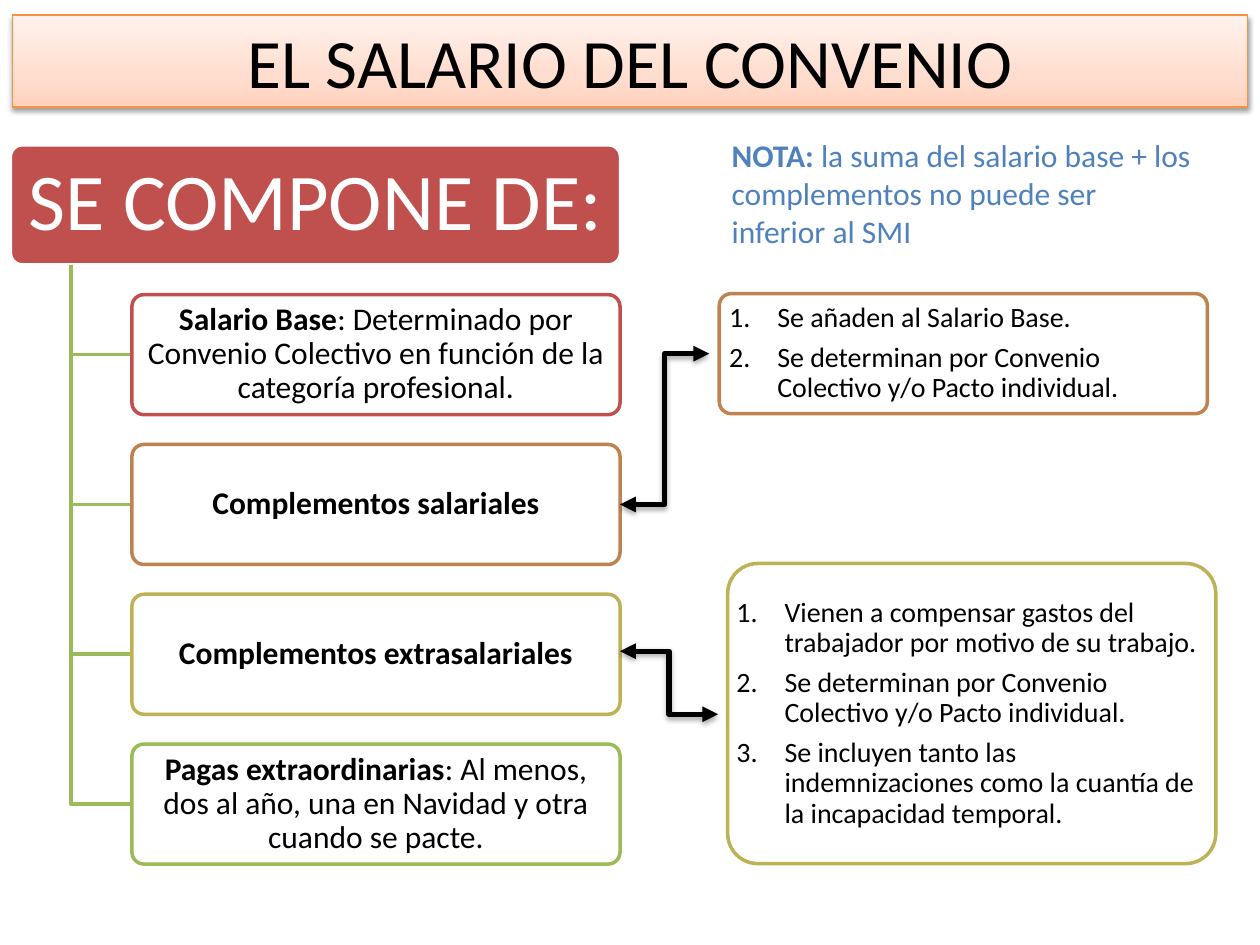
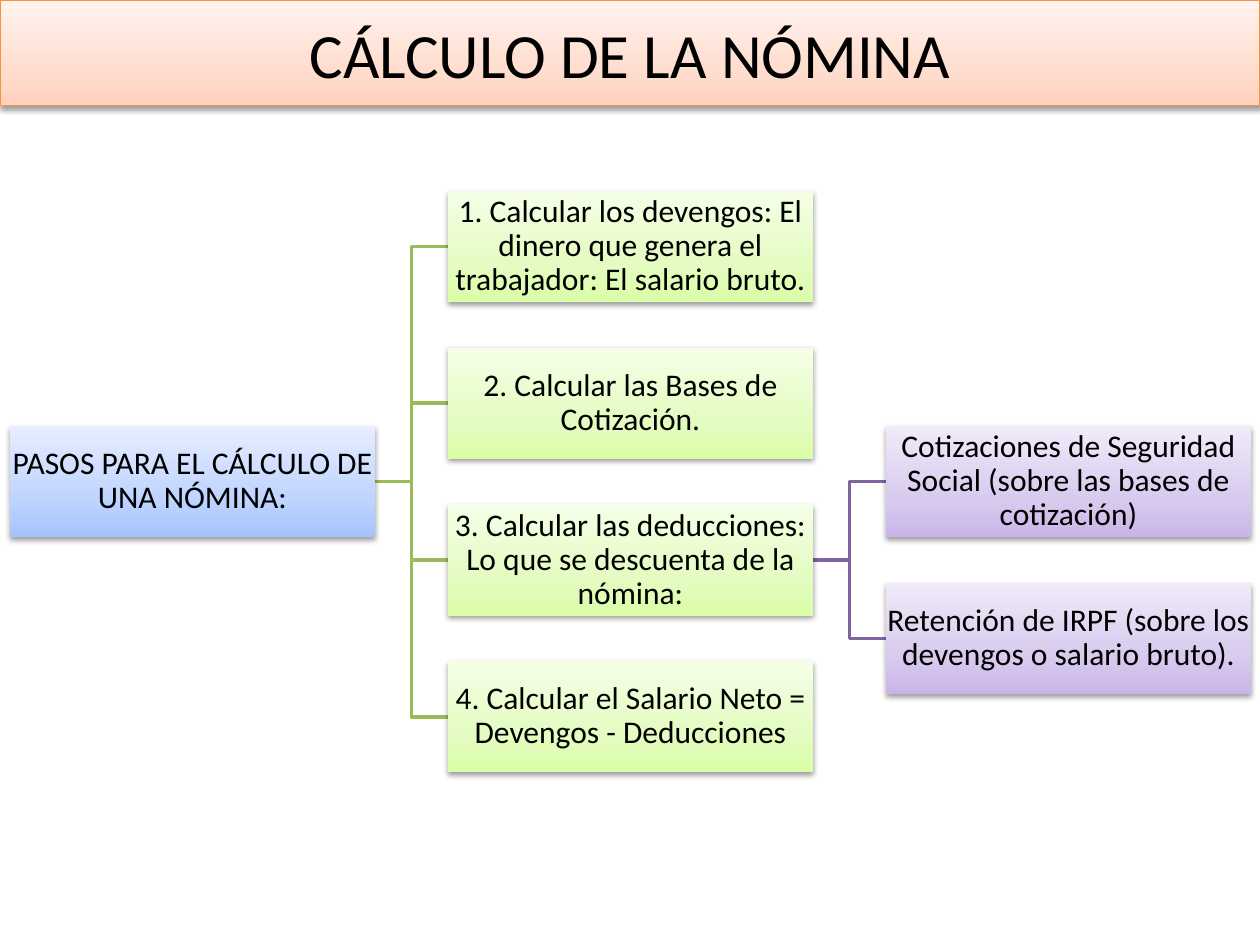
from lxml import etree
from pptx import Presentation
from pptx.dml.color import RGBColor
from pptx.enum import shapes as sh, text as tx
from pptx.oxml.ns import qn
from pptx.util import Cm, Pt

FONT = "Calibri"
BLACK, WHITE, BLUE = "000000", "FFFFFF", "4F81BD"
RED, BROWN, OLIVE, GREEN, PURPLE = "C0504D", "BE8351", "BDB255", "9BBB59", "8064A2"
ORANGE = "F69240"
# Gradient stops at 0, 35 and 100 %
PEACH = ("FFD2BD", "FFDED0", "FFF2ED")
SKY = ("A4C4FF", "BFD4FF", "E6EEFF")
LIME = ("DAFDA7", "E4FCC2", "F5FFE7")
LILAC = ("C9B5E8", "D8CBEE", "F0EAF9")


def rgb(code):
    return RGBColor.from_string(code)


def sub(parent, tag, **attrs):
    node = etree.SubElement(parent, qn(tag))
    for key, val in attrs.items():
        node.set(key, str(val))
    return node


# Shared looks
def blend(shape, stops):
    shape.fill.gradient()
    shape.fill.gradient_angle = 90
    group = shape._element.spPr.find(".//" + qn("a:gsLst"))
    for old in list(group):
        group.remove(old)
    for pos, code in zip((0, 35000, 100000), stops):
        sub(sub(group, "a:gs", pos=pos), "a:srgbClr", val=code)


def shade(shape, alpha, dist):
    effects = sub(shape._element.spPr, "a:effectLst")
    cast = sub(effects, "a:outerShdw", blurRad=40000, dist=dist,
               dir=5400000, rotWithShape=0)
    sub(sub(cast, "a:srgbClr", val=BLACK), "a:alpha", val=alpha * 1000)


def stroke(shape, code, width):
    shape.line.color.rgb = rgb(code)
    shape.line.width = Pt(width)


def style(para, size, code):
    for run in para.runs:
        run.font.size, run.font.name = Pt(size), FONT
        run.font.color.rgb = rgb(code)


def write(shape, size, code, body, lead="", inset=0.03):
    """Centred text, with an optional bold lead."""
    frame = shape.text_frame
    frame.word_wrap = True
    frame.vertical_anchor = tx.MSO_ANCHOR.MIDDLE
    frame.margin_left = frame.margin_right = Cm(inset)
    frame.margin_top = frame.margin_bottom = Cm(0.03)
    para = frame.paragraphs[0]
    para.text = lead or body
    if lead:
        para.runs[0].font.bold = True
        para.add_run().text = body
    para.alignment = tx.PP_ALIGN.CENTER
    para.line_spacing = 0.9
    style(para, size, code)


def number(shape, items, inset):
    """Numbered list inside a box."""
    frame = shape.text_frame
    frame.word_wrap = True
    frame.vertical_anchor = tx.MSO_ANCHOR.MIDDLE
    frame.margin_left = frame.margin_right = Cm(inset)
    frame.margin_top = frame.margin_bottom = Cm(0.1)
    frame.text = "\n".join(items)
    for para in frame.paragraphs:
        props = para._p.get_or_add_pPr()
        props.set("marL", str(Cm(0.97)))
        props.set("indent", str(-Cm(0.97)))
        sub(props, "a:buFont", typeface="+mj-lt")
        sub(props, "a:buAutoNum", type="arabicPeriod")
        para.alignment = tx.PP_ALIGN.LEFT
        para.line_spacing = 0.9
        para.space_after = Pt(5.6)
        style(para, 16, BLACK)


def start(deck, words, box, size):
    """New slide with its title band."""
    slide = deck.slides.add_slide(deck.slide_layouts[5])
    title = slide.shapes.title
    title.left, title.top, title.width, title.height = map(Cm, box)
    blend(title, PEACH)
    stroke(title, ORANGE, 0.75)
    shade(title, 38, 20000)
    frame = title.text_frame
    frame.text = words
    frame.auto_size = tx.MSO_AUTO_SIZE.NONE
    frame.vertical_anchor = tx.MSO_ANCHOR.MIDDLE
    frame.paragraphs[0].alignment = tx.PP_ALIGN.CENTER
    style(frame.paragraphs[0], size, BLACK)
    return slide


def branch(slide, code, points):
    spots = [(Cm(x), Cm(y)) for x, y in points]
    build = slide.shapes.build_freeform(*spots[0])
    build.add_line_segments(spots[1:], close=False)
    line = build.convert_to_shape()
    line.fill.background()
    line.shadow.inherit = False
    stroke(line, code, 2)


def panel(slide, box, fill, line):
    shape = slide.shapes.add_shape(sh.MSO_SHAPE.ROUNDED_RECTANGLE, *map(Cm, box))
    shape.adjustments[0] = 0.1
    shape.fill.solid()
    shape.fill.fore_color.rgb = rgb(fill)
    stroke(shape, line, 2)
    shape.shadow.inherit = False
    return shape


# Slide 1: parts of the salary
def parts(slide, left, top):
    high, step, wide = 2.42, 3.02, 9.84
    head = panel(slide, (left, top, 12.3, high), RED, WHITE)
    write(head, 46, WHITE, "SE COMPONE DE:", inset=0.25)
    rows = [
        (RED, "Salario Base", ": Determinado por Convenio Colectivo en función "
         "de la categoría profesional."),
        (BROWN, "Complementos salariales", ""),
        (OLIVE, "Complementos extrasalariales", ""),
        (GREEN, "Pagas extraordinarias",
         ": Al menos, dos al año, una en Navidad y otra cuando se pacte."),
    ]
    trunk, edge = left + 1.22, left + 2.45
    for i, (code, lead, body) in enumerate(rows, 1):
        y = top + i * step
        mid = y + high / 2
        branch(slide, GREEN, [(trunk, top + high), (trunk, mid), (edge, mid)])
        item = panel(slide, (edge, y, wide, high), WHITE, code)
        write(item, 18, BLACK, body, lead, 0.1)


def arrow(slide, x, y, endx, endy):
    link = slide.shapes.add_connector(
        sh.MSO_CONNECTOR.ELBOW, *map(Cm, (x, y, endx, endy)))
    stroke(link, BLACK, 3)
    line = link._element.spPr.find(qn("a:ln"))
    for tag in ("a:headEnd", "a:tailEnd"):
        sub(line, tag, type="triangle")
    shade(link, 35, 23000)


def remark(slide, box):
    frame = slide.shapes.add_textbox(*map(Cm, box)).text_frame
    frame.word_wrap = True
    para = frame.paragraphs[0]
    para.text = "NOTA: "
    para.runs[0].font.bold = True
    para.add_run().text = ("la suma del salario base + los complementos "
                           "no puede ser inferior al SMI")
    style(para, 18, BLUE)


def salary(deck):
    slide = start(deck, "EL SALARIO DEL CONVENIO", (0.25, 0.3, 24.9, 1.86), 39.6)
    parts(slide, 0.21, 2.92)
    pact = "Se determinan por Convenio Colectivo y/o Pacto individual."
    number(panel(slide, (14.5, 5.92, 9.84, 2.42), WHITE, BROWN),
           ["Se añaden al Salario Base.", pact], 0.13)
    number(panel(slide, (14.67, 11.36, 9.84, 6.05), WHITE, OLIVE),
           ["Vienen a compensar gastos del trabajador por motivo de su trabajo.",
            pact,
            "Se incluyen tanto las indemnizaciones como la cuantía de la "
            "incapacidad temporal."], 0)
    arrow(slide, 14.3, 7.13, 12.5, 10.17)
    arrow(slide, 14.48, 14.4, 12.5, 13.13)
    remark(slide, (14.5, 2.62, 9.78, 2.57))


# Slide 2: payroll steps, on a grid of columns and rows
def steps(slide, left, top):
    wide, high, across, down = 7.36, 2.24, 8.83, 3.16

    def place(col, row):
        return left + col * across, top + row * down

    def join(code, col, row, ends):
        x, y = place(col, row)
        x, y = x + wide, y + high / 2
        for end in ends:
            endx, endy = place(col + 1, end)
            endy += high / 2
            mid = (x + endx) / 2
            branch(slide, code, [(x, y), (mid, y), (mid, endy), (endx, endy)])

    join(GREEN, 0, 1.5, range(4))
    join(PURPLE, 1, 2, (1.5, 2.5))
    nodes = [
        (0, 1.5, SKY, "PASOS PARA EL CÁLCULO DE UNA NÓMINA:"),
        (1, 0, LIME, "1. Calcular los devengos: El dinero que genera el "
         "trabajador: El salario bruto."),
        (1, 1, LIME, "2. Calcular las Bases de Cotización."),
        (1, 2, LIME, "3. Calcular las deducciones: Lo que se descuenta "
         "de la nómina:"),
        (1, 3, LIME, "4. Calcular el Salario Neto =\nDevengos - Deducciones"),
        (2, 1.5, LILAC, "Cotizaciones de Seguridad Social (sobre las bases "
         "de cotización)"),
        (2, 2.5, LILAC, "Retención de IRPF (sobre los devengos o salario bruto)."),
    ]
    for col, row, stops, words in nodes:
        box = (*place(col, row), wide, high)
        node = slide.shapes.add_shape(sh.MSO_SHAPE.RECTANGLE, *map(Cm, box))
        blend(node, stops)
        node.line.fill.background()
        shade(node, 38, 20000)
        write(node, 18, BLACK, words)


def payroll(deck):
    slide = start(deck, "CÁLCULO DE LA NÓMINA", (0, 0, 25.4, 2.13), 36)
    steps(slide, 0.2, 3.85)


def main():
    deck = Presentation()
    deck.slide_width, deck.slide_height = Cm(25.4), Cm(19.05)
    salary(deck)
    payroll(deck)
    deck.save("out.pptx")


if __name__ == "__main__":
    main()
